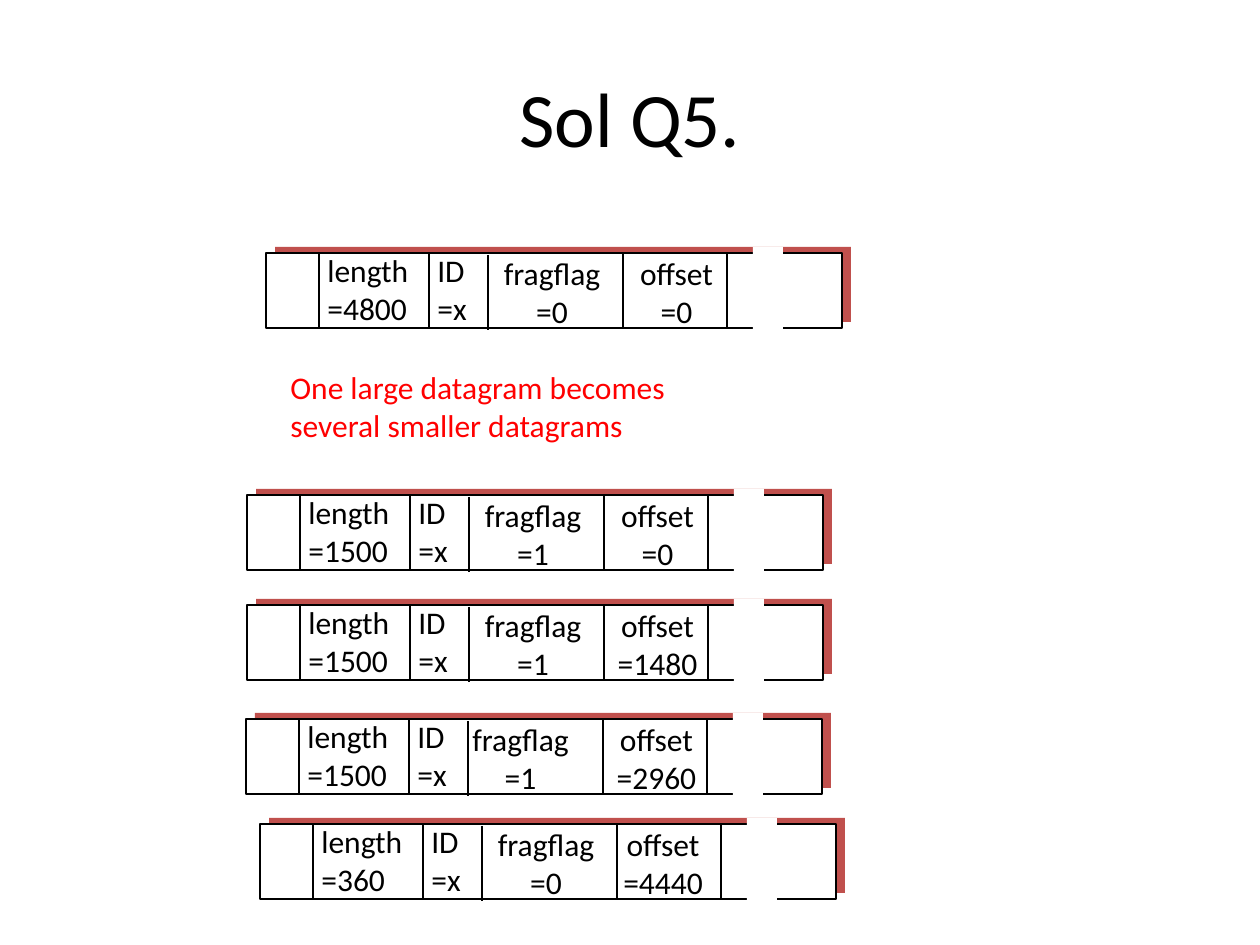
from pptx import Presentation
from pptx.util import Emu, Pt
from pptx.dml.color import RGBColor
from pptx.enum.shapes import MSO_SHAPE, MSO_CONNECTOR
from pptx.enum.text import PP_ALIGN, MSO_ANCHOR, MSO_AUTO_SIZE
from pptx.oxml.ns import qn
from lxml import etree

PX = 914400 // 126
COLORS = {"ink": "000000", "paper": "FFFFFF", "shade": "C0504D", "note": "FF0000"}


def add_box(shapes, x, y, w, h, fill, outlined=False):
    box = shapes.add_shape(MSO_SHAPE.RECTANGLE, *(Emu(v * PX) for v in (x, y, w, h)))
    box.shadow.inherit = False
    box.fill.solid()
    box.fill.fore_color.rgb = RGBColor.from_string(COLORS[fill])
    if outlined:
        box.line.color.rgb = RGBColor.from_string(COLORS["ink"])
        box.line.width = Pt(1.5)
    else:
        box.line.fill.background()


def add_text(shapes, x, y, w, lines, align=PP_ALIGN.LEFT, color="ink"):
    frame = shapes.add_textbox(*(Emu(v * PX) for v in (x, y, w, 88))).text_frame
    frame.word_wrap = False
    frame.auto_size = MSO_AUTO_SIZE.SHAPE_TO_FIT_TEXT
    frame.text = "\n".join(lines)
    for paragraph in frame.paragraphs:
        paragraph.alignment = align
        paragraph.font.size = Pt(18)
        paragraph.font.name = "Calibri"
        paragraph.font.color.rgb = RGBColor.from_string(COLORS[color])


prs = Presentation()
prs.slide_width, prs.slide_height = Emu(1260 * PX), Emu(945 * PX)
slide = prs.slides.add_slide(prs.slide_layouts[5])

# Title
title = slide.shapes.title
title.left, title.top, title.width, title.height = (
    Emu(v * PX) for v in (63, 38, 1134, 157))
title.text_frame.text = "Sol Q5."
title.text_frame.vertical_anchor = MSO_ANCHOR.MIDDLE
heading = title.text_frame.paragraphs[0]
heading.alignment = PP_ALIGN.CENTER
heading.font.size = Pt(44)
heading.font.name = "Calibri"
heading.font.color.rgb = RGBColor.from_string(COLORS["ink"])

# Datagrams: left, top, length, flag, offset, flag width, offset width
datagrams = [
    (266, 253, 4800, 0, 0, 146, 121),
    (247, 495, 1500, 1, 0, 146, 121),
    (247, 605, 1500, 1, 1480, 146, 121),
    (246, 719, 1500, 1, 2960, 123, 121),
    (260, 824, 360, 0, 4440, 146, 106),
]
dividers = [(53, 0), (163, 0), (222, 2), (357, 0), (461, 0)]

for x, y, length, flag, offset, flag_width, offset_width in datagrams:
    shapes = slide.shapes.add_group_shape().shapes
    add_box(shapes, x + 9, y - 6, 576, 75, "shade")
    add_box(shapes, x, y, 576, 75, "paper", outlined=True)

    # Header fields
    add_text(shapes, x + 159, y - 8, 66, ["ID", "=x"])
    add_text(shapes, x + 350, y - 5, offset_width, ["offset", f"={offset}"], PP_ALIGN.CENTER)
    add_text(shapes, x + 213, y - 5, flag_width, ["fragflag", f"={flag}"], PP_ALIGN.CENTER)
    add_text(shapes, x + 49, y - 8, 107, ["length", f"={length}"])

    # Field dividers
    for dx, dy in dividers:
        divider = shapes.add_connector(
            MSO_CONNECTOR.STRAIGHT,
            *(Emu(v * PX) for v in (x + dx, y + dy, x + dx, y + dy + 75)))
        divider.line.color.rgb = RGBColor.from_string(COLORS["ink"])
        divider.line.width = Pt(1.5)
        etree.SubElement(divider._element.spPr, qn("a:effectLst"))

    # Break in the data field
    add_box(shapes, x + 487, y - 6, 30, 83, "paper")

# Note
add_text(slide.shapes, 278, 362, 450,
         ["One large datagram becomes", "several smaller datagrams"], color="note")

prs.save("out.pptx")
